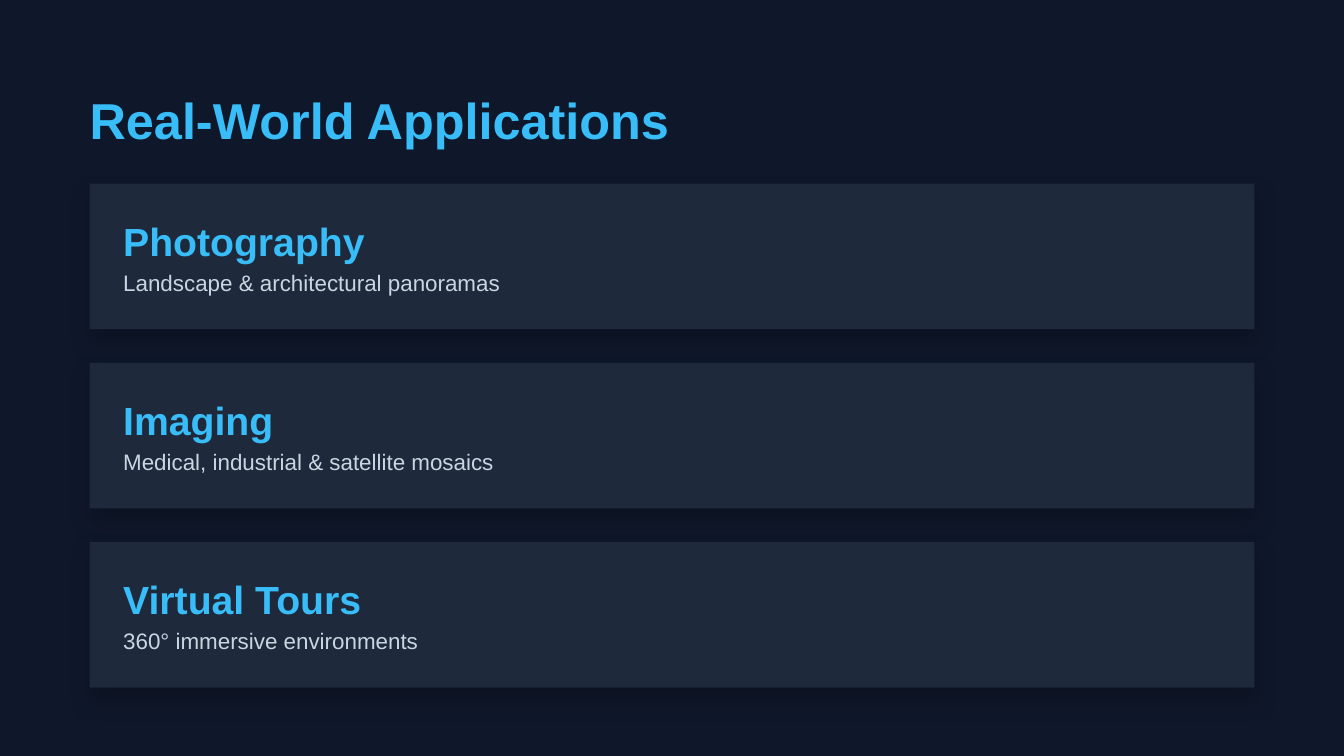
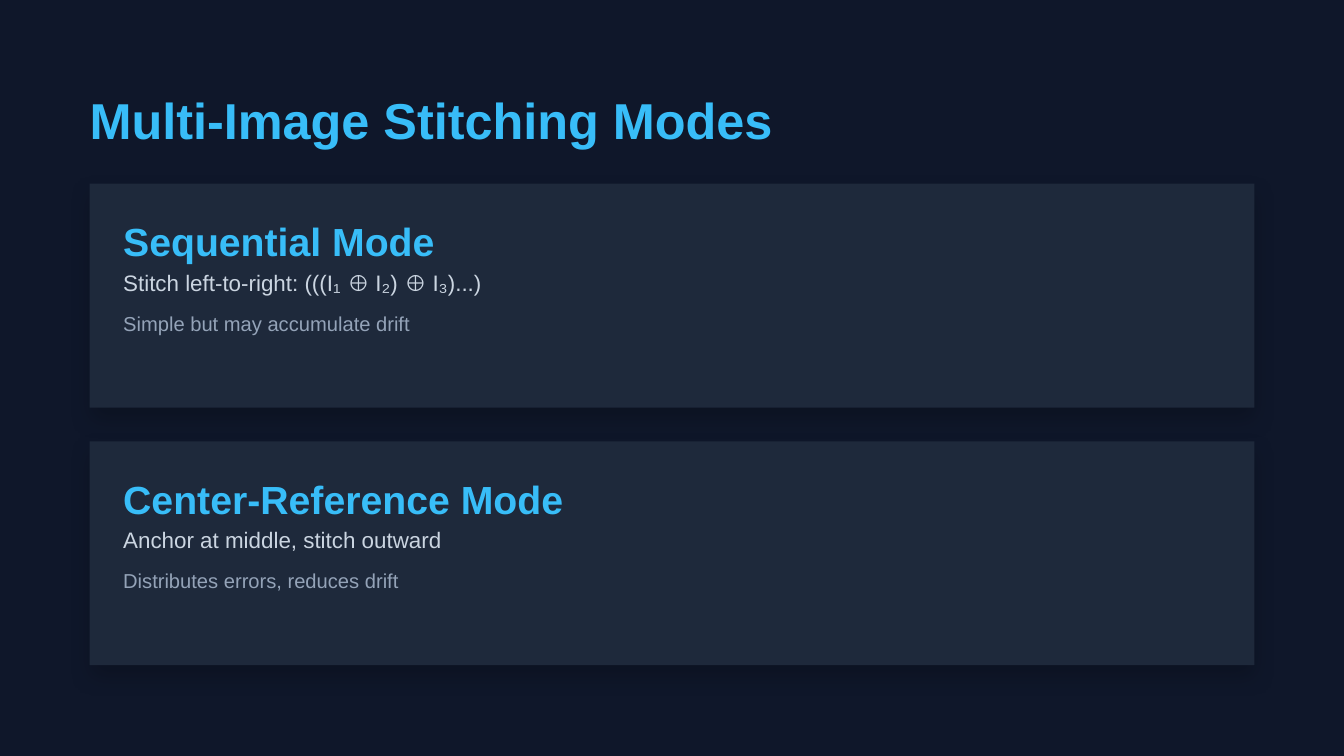
from lxml.etree import SubElement
from pptx import Presentation
from pptx.dml.color import RGBColor
from pptx.enum.shapes import MSO_SHAPE
from pptx.enum.text import MSO_ANCHOR, MSO_AUTO_SIZE, PP_ALIGN
from pptx.oxml.ns import qn
from pptx.util import Pt

NAVY, SLATE, SKY, PALE, GREY = "0F172A", "1E293B", "38BDF8", "CBD5E1", "94A3B8"
LEFT, TOP, WIDTH, PAD, GAP = 48, 98.4, 624, 18, 18

TITLE = {"size": 27, "bold": True, "color": SKY, "line": 32.4}
ROWS = [
    {"size": 21, "bold": True, "color": SKY, "line": 25.2, "after": 0},
    {"size": 12, "bold": False, "color": PALE, "line": 16.8, "after": 6},
    {"size": 10.8, "bold": False, "color": GREY, "line": 15.1, "after": 0},
]
FRAME = {
    "margin_left": 0, "margin_top": 0, "margin_right": 0, "margin_bottom": 0,
    "word_wrap": True, "auto_size": MSO_AUTO_SIZE.NONE,
    "vertical_anchor": MSO_ANCHOR.TOP,
}
SLIDES = [
    ("Real-World Applications", 78, [
        ("Photography", "Landscape & architectural panoramas"),
        ("Imaging", "Medical, industrial & satellite mosaics"),
        ("Virtual Tours", "360° immersive environments"),
    ]),
    ("Multi-Image Stitching Modes", 120, [
        ("Sequential Mode", "Stitch left-to-right: (((I₁ ⊕ I₂) ⊕ I₃)...)",
         "Simple but may accumulate drift"),
        ("Center-Reference Mode", "Anchor at middle, stitch outward",
         "Distributes errors, reduces drift"),
    ]),
]


def paint(fill, code):
    fill.solid()
    fill.fore_color.rgb = RGBColor.from_string(code)


def write(box, text, look, x, y, width):
    place = {"left": x, "top": y, "width": width, "height": look["line"]}
    for name, value in place.items():
        setattr(box, name, Pt(value))
    frame = box.text_frame
    for name, value in FRAME.items():
        setattr(frame, name, value)
    frame.text = text
    para = frame.paragraphs[0]
    para.alignment = PP_ALIGN.LEFT
    para.line_spacing = Pt(look["line"])
    font = para.runs[0].font
    style = {"name": "Arial", "size": Pt(look["size"]), "bold": look["bold"]}
    for name, value in style.items():
        setattr(font, name, value)
    paint(font.fill, look["color"])


deck = Presentation()
deck.slide_width, deck.slide_height = Pt(720), Pt(405)
paint(deck.slide_master.background.fill, NAVY)

for title, height, cards in SLIDES:
    slide = deck.slides.add_slide(deck.slide_layouts[5])
    shapes = slide.shapes
    write(shapes.title, title, TITLE, LEFT, 48, 636.5)
    for index, texts in enumerate(cards):
        y = TOP + index * (height + GAP)
        card = shapes.add_shape(
            MSO_SHAPE.RECTANGLE, Pt(LEFT), Pt(y), Pt(WIDTH), Pt(height))
        paint(card.fill, SLATE)
        card.line.fill.background()
        card.shadow.inherit = False
        effects = card.element.spPr.find(qn("a:effectLst"))
        shade = SubElement(
            effects, qn("a:outerShdw"), blurRad=str(Pt(12)), dist=str(Pt(6)),
            dir="5400000", algn="ctr", rotWithShape="0")
        black = SubElement(shade, qn("a:srgbClr"), val="000000")
        SubElement(black, qn("a:alpha"), val="20000")
        y += PAD
        for text, look in zip(texts, ROWS):
            box = shapes.add_textbox(0, 0, 0, 0)
            write(box, text, look, LEFT + PAD, y, 600)
            y += look["line"] + look["after"]

deck.save("out.pptx")
